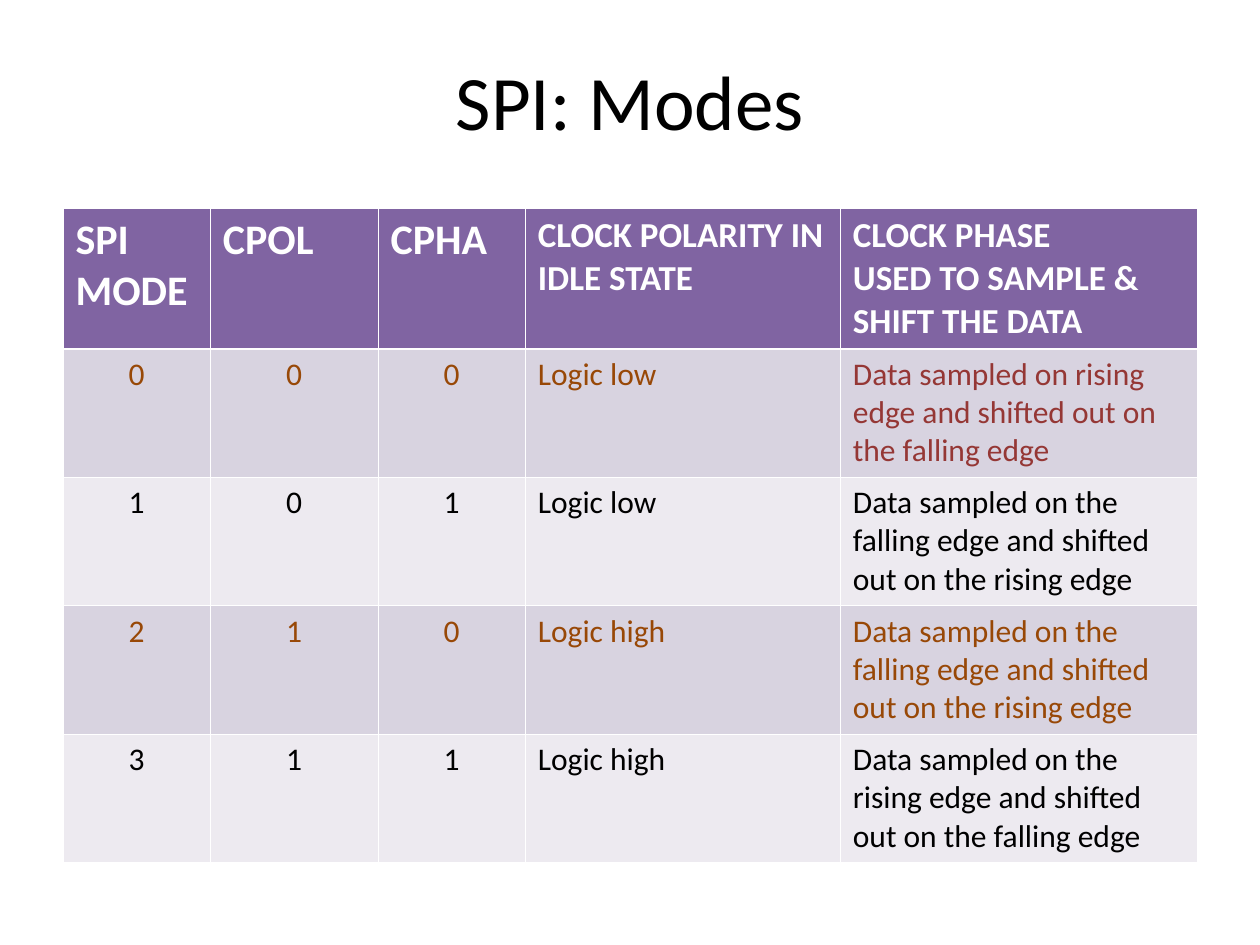
from lxml import etree
from pptx import Presentation
from pptx.dml.color import RGBColor
from pptx.enum.text import MSO_ANCHOR, PP_ALIGN
from pptx.oxml.ns import qn
from pptx.util import Cm, Pt

LEFT, CENTER = PP_ALIGN.LEFT, PP_ALIGN.CENTER
MIDDLE = MSO_ANCHOR.MIDDLE

COLORS = {
    "black": "000000", "white": "FFFFFF", "purple": "8064A2",
    "lilac": "D8D3E0", "pale": "EDEAF0", "brown": "984807", "red": "953735",
}

TITLE = "SPI: Modes"
HEADERS = [
    ("SPI\nMODE", 24),
    ("CPOL", 24),
    ("CPHA", 24),
    ("CLOCK POLARITY IN\nIDLE STATE", 20),
    ("CLOCK PHASE\nUSED TO SAMPLE & SHIFT THE DATA", 20),
]
MODES = [
    ("0", "0", "0", "Logic low",
     "Data sampled on rising edge and shifted out on the falling edge"),
    ("1", "0", "1", "Logic low",
     "Data sampled on the falling edge and shifted out on the rising edge"),
    ("2", "1", "0", "Logic high",
     "Data sampled on the falling edge and shifted out on the rising edge"),
    ("3", "1", "1", "Logic high",
     "Data sampled on the rising edge and shifted out on the falling edge"),
]
STRIPES = [("lilac", "brown"), ("pale", "black")]
TEXT_COLORS = {(1, 4): "red"}

MARGIN = 1.27
COL_WIDTHS = [2.97, 3.38, 2.97, 6.35, 7.19]
ROW_HEIGHTS = [2.84] + [2.59] * len(MODES)
TABLE_TOP = 4.19
THIN, THICK = 0.45, 1.47


def write(tf, text, size=18, color="black", bold=False, align=LEFT):
    tf.word_wrap = True
    for i, line in enumerate(text.split("\n")):
        p = tf.paragraphs[0] if i == 0 else tf.add_paragraph()
        p.alignment = align
        r = p.add_run()
        r.text = line
        r.font.name = "Calibri"
        r.font.size = Pt(size)
        r.font.bold = bold
        r.font.color.rgb = RGBColor.from_string(COLORS[color])


def style_cell(cell, fill, top=THIN, bottom=THIN):
    tc_pr = cell._tc.get_or_add_tcPr()
    for side, width in zip("LRTB", (THIN, THIN, top, bottom)):
        ln = etree.SubElement(tc_pr, qn(f"a:ln{side}"), w=str(Pt(width)))
        solid = etree.SubElement(ln, qn("a:solidFill"))
        etree.SubElement(solid, qn("a:srgbClr"), val=COLORS["white"])
    cell.fill.solid()
    cell.fill.fore_color.rgb = RGBColor.from_string(COLORS[fill])


def main():
    prs = Presentation()
    prs.slide_width, prs.slide_height = Cm(25.4), Cm(19.05)
    s = prs.slides.add_slide(prs.slide_layouts[6])
    width = sum(COL_WIDTHS)

    title = s.shapes.add_textbox(Cm(MARGIN), Cm(0.43), Cm(width), Cm(3.18))
    title.text_frame.vertical_anchor = MIDDLE
    write(title.text_frame, TITLE, size=44, align=CENTER)

    table = s.shapes.add_table(
        len(ROW_HEIGHTS), len(COL_WIDTHS), Cm(MARGIN), Cm(TABLE_TOP),
        Cm(width), Cm(sum(ROW_HEIGHTS))).table
    for col, w in zip(table.columns, COL_WIDTHS):
        col.width = Cm(w)
    for row, h in zip(table.rows, ROW_HEIGHTS):
        row.height = Cm(h)

    for c, (text, size) in enumerate(HEADERS):
        cell = table.cell(0, c)
        style_cell(cell, "purple", bottom=THICK)
        write(cell.text_frame, text, size=size, color="white", bold=True)

    for r, mode in enumerate(MODES, start=1):
        fill, color = STRIPES[(r - 1) % 2]
        for c, text in enumerate(mode):
            cell = table.cell(r, c)
            style_cell(cell, fill, top=THICK if r == 1 else THIN)
            write(cell.text_frame, text, color=TEXT_COLORS.get((r, c), color),
                  align=CENTER if c < 3 else LEFT)

    prs.save("out.pptx")


if __name__ == "__main__":
    main()
